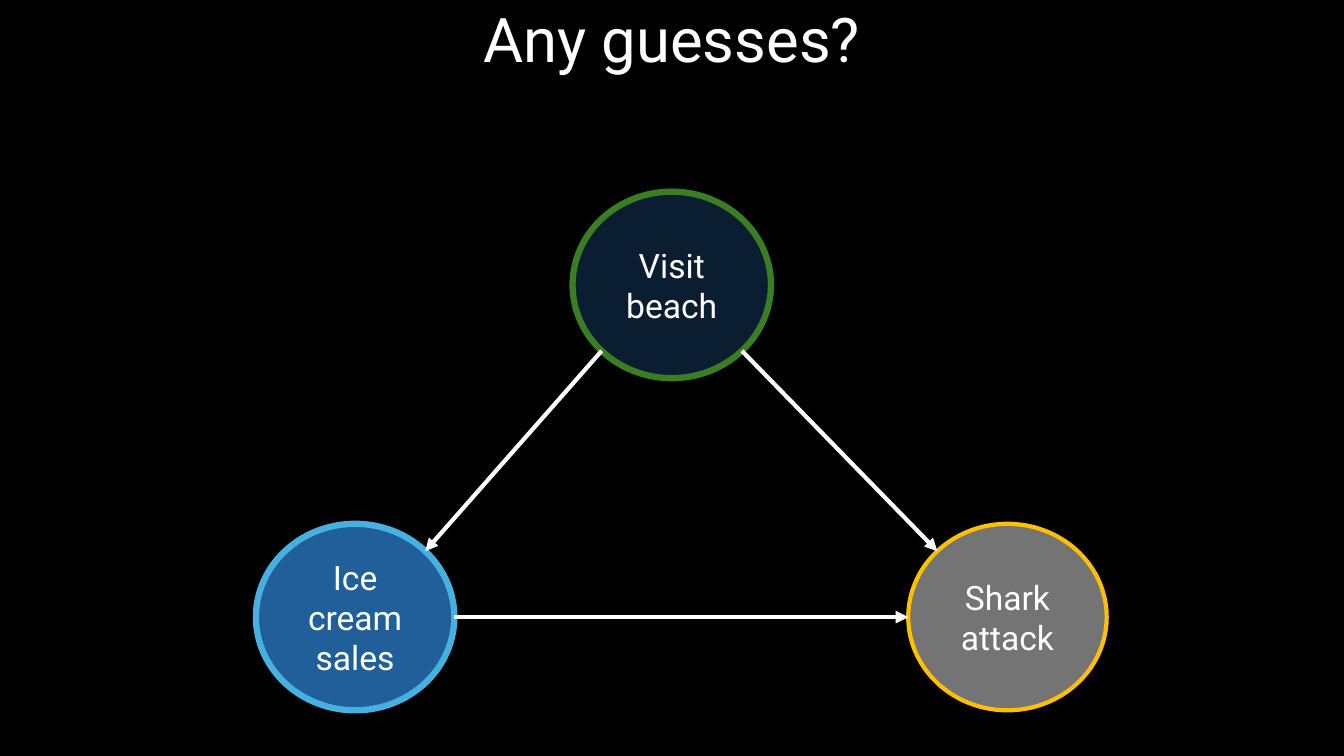
from math import cos, radians, sin

from lxml import etree
from pptx import Presentation
from pptx.dml.color import RGBColor
from pptx.enum.shapes import MSO_CONNECTOR as CONN, MSO_SHAPE as SHAPE
from pptx.enum.text import MSO_ANCHOR as ANCHOR, PP_ALIGN as ALIGN
from pptx.oxml.ns import qn
from pptx.util import Cm, Pt

WIDTH, HEIGHT = 33.87, 19.05
NODE_W, NODE_H = 5, 4.7


def rgb(value):
    return RGBColor.from_string(value)


def apply(target, formats):
    for name, value in formats.items():
        setattr(target, name, value)


def rim(center, angle):
    x, y = center
    a = radians(angle)
    return x + NODE_W / 2 * cos(a), y + NODE_H / 2 * sin(a)


class Diagram:
    font = "Roboto"
    ink = "FFFFFF"

    def __init__(self, prs, background):
        self.s = prs.slides.add_slide(prs.slide_layouts[6])
        fill = self.s.background.fill
        fill.solid()
        fill.fore_color.rgb = rgb(background)

    def label(self, tf, text, size, **spacing):
        apply(tf, {"word_wrap": True, "vertical_anchor": ANCHOR.MIDDLE})
        p = tf.paragraphs[0]
        apply(p, {"alignment": ALIGN.CENTER, **spacing})
        r = p.add_run()
        r.text = text
        apply(r.font, {"name": self.font, "size": Pt(size)})
        r.font.color.rgb = rgb(self.ink)

    def title(self, text):
        tf = self.s.shapes.add_textbox(0, 0, Cm(WIDTH), Cm(2.13)).text_frame
        sides = ("left", "top", "right", "bottom")
        apply(tf, {f"margin_{side}": Cm(0.25) for side in sides})
        self.label(tf, text, 44, line_spacing=0.9)

    def node(self, text, center, fill, line, weight):
        x, y = center
        sp = self.s.shapes.add_shape(SHAPE.OVAL, Cm(x - NODE_W / 2), Cm(y - NODE_H / 2),
                                     Cm(NODE_W), Cm(NODE_H))
        sp.shadow.inherit = False
        sp.fill.solid()
        sp.fill.fore_color.rgb = rgb(fill)
        sp.line.color.rgb = rgb(line)
        sp.line.width = Pt(weight)
        self.label(sp.text_frame, text, 24)

    def arrow(self, start, end):
        c = self.s.shapes.add_connector(CONN.STRAIGHT, *map(Cm, start + end))
        c.line.color.rgb = rgb(self.ink)
        c.line.width = Pt(3)
        props = c._element.spPr
        etree.SubElement(props.find(qn("a:ln")), qn("a:tailEnd"), type="triangle")
        etree.SubElement(props, qn("a:effectLst"))


def main():
    prs = Presentation()
    apply(prs, {"slide_width": Cm(WIDTH), "slide_height": Cm(HEIGHT)})
    diagram = Diagram(prs, "000000")
    beach, ice_cream, shark = (16.93, 7.18), (8.95, 15.55), (25.39, 15.55)

    diagram.title("Any guesses?")
    diagram.node("Shark attack", shark, "747474", "FFC000", 3)
    diagram.node("Ice cream sales", ice_cream, "215F9A", "46B1E1", 4.5)
    diagram.arrow(rim(ice_cream, 0), rim(shark, 180))
    diagram.node("Visit beach", beach, "0B1E31", "3B7D23", 4.5)
    diagram.arrow(rim(beach, 135), rim(ice_cream, -45))
    diagram.arrow(rim(beach, 45), rim(shark, -135))
    prs.save("out.pptx")


if __name__ == "__main__":
    main()
